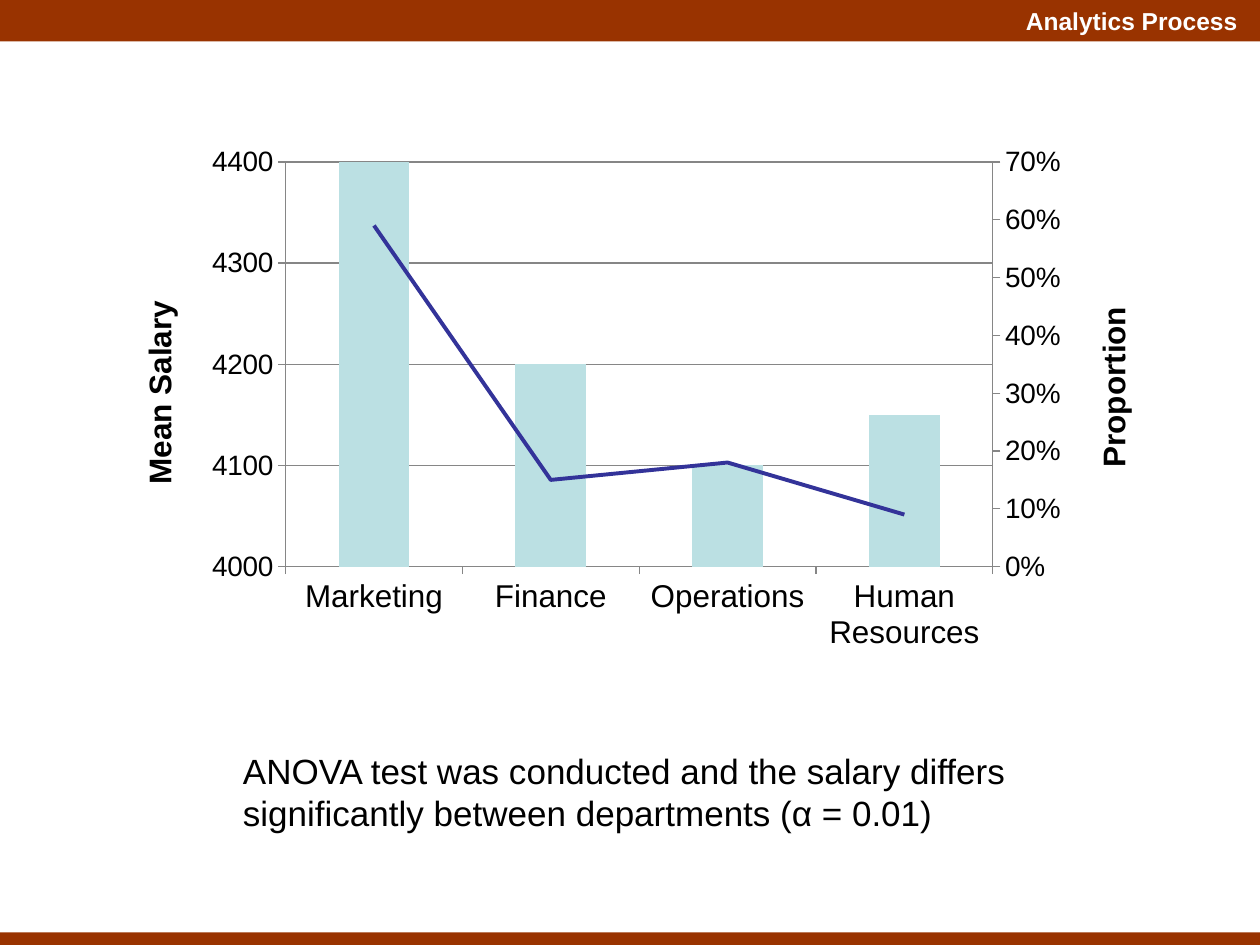
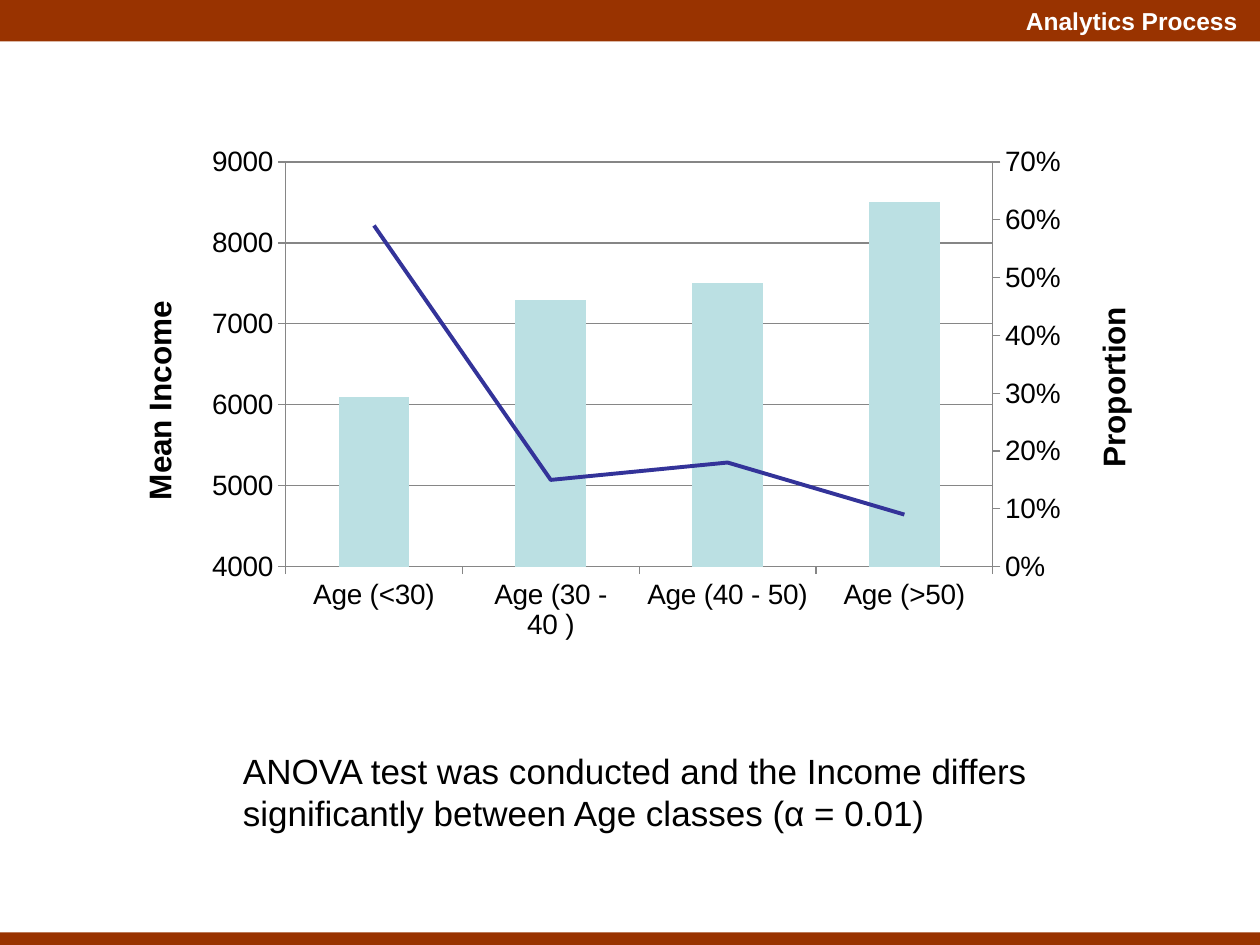
from copy import deepcopy
from dataclasses import dataclass

from pptx import Presentation
from pptx import util as u
from pptx.chart.axis import ValueAxis
from pptx.chart.data import CategoryChartData
from pptx.dml.color import RGBColor
from pptx.enum import chart as ch
from pptx.enum import shapes, text
from pptx.oxml import parse_xml
from pptx.oxml.ns import nsdecls, qn

RUST = RGBColor(0x99, 0x33, 0x00)
WHITE = RGBColor(0xFF, 0xFF, 0xFF)
BLACK = RGBColor(0, 0, 0)
AQUA = RGBColor(0xBB, 0xE0, 0xE3)
NAVY = RGBColor(0x33, 0x33, 0x99)
GRAY = RGBColor(0x86, 0x86, 0x86)
FONT = "Arial"


@dataclass
class Box:
    left: float
    top: float
    width: float
    height: float

    def size(self) -> list:
        return [u.Inches(n) for n in (self.left, self.top, self.width, self.height)]


@dataclass
class Label:
    words: str
    box: Box
    points: int
    color: RGBColor
    bold: bool = False
    align: text.PP_ALIGN = text.PP_ALIGN.LEFT


@dataclass
class Study:
    title: str
    groups: list
    means: list
    top: int
    step: int
    points: int
    result: str


BANDS = [Box(0, 0, 10, 0.33), Box(0, 7.4, 10, 0.1)]
HEADER = Label("Analytics Process", Box(5.74, 0, 4.18, 0.33), 14, WHITE, True,
               text.PP_ALIGN.RIGHT)
CHART = Box(0.81, 1.08, 8.25, 4.67)
NOTE = Box(1.83, 5.9, 6.97, 0.77)
SHARES = [0.59, 0.15, 0.18, 0.09]
BASE = 4000

STUDIES = [
    Study("Mean Salary", ["Marketing", "Finance", "Operations", "Human Resources"],
          [4400, 4200, 4100, 4150], 4400, 100, 18,
          "ANOVA test was conducted and the salary differs significantly "
          "between departments (α = 0.01)"),
    Study("Mean Income", ["Age (<30)", "Age (30 - 40 )", "Age (40 - 50)", "Age (>50)"],
          [6100, 7300, 7500, 8500], 9000, 1000, 16,
          "ANOVA test was conducted and the Income differs significantly "
          "between Age classes (α = 0.01)"),
]


def add_run(para, words: str, points: int, color: RGBColor, bold: bool) -> None:
    run = para.add_run()
    run.text = words
    run.font.name = FONT
    run.font.size = u.Pt(points)
    run.font.bold = bold
    run.font.color.rgb = color


def add_band(slide, box: Box) -> None:
    band = slide.shapes.add_shape(shapes.MSO_SHAPE.RECTANGLE, *box.size())
    band.shadow.inherit = False
    band.fill.solid()
    band.fill.fore_color.rgb = RUST
    band.line.fill.background()


def add_label(slide, label: Label) -> None:
    frame = slide.shapes.add_textbox(*label.box.size()).text_frame
    frame.word_wrap = True
    para = frame.paragraphs[0]
    para.alignment = label.align
    add_run(para, label.words, label.points, label.color, label.bold)


def set_place(owner, index: int, **parts) -> None:
    for old in owner.findall(qn("c:layout")):
        owner.remove(old)
    inner = "".join(f'<c:{key} val="{val}"/>' for key, val in parts.items())
    owner.insert(index, parse_xml(
        f'<c:layout {nsdecls("c")}><c:manualLayout>{inner}</c:manualLayout></c:layout>'))


def set_title(axis, words: str, x: float, y: float) -> None:
    axis.has_title = True
    frame = axis.axis_title.text_frame
    add_run(frame.paragraphs[0], words, 18, BLACK, True)
    title = axis.axis_title._element
    body = title.find(".//" + qn("a:bodyPr"))
    body.set("rot", "-5400000")
    body.set("vert", "horz")
    set_place(title, 1, xMode="edge", yMode="edge", x=x, y=y)


def set_axis(axis, points: int) -> None:
    axis.major_tick_mark = ch.XL_TICK_MARK.OUTSIDE
    axis.minor_tick_mark = ch.XL_TICK_MARK.NONE
    font = axis.tick_labels.font
    font.name = FONT
    font.size = u.Pt(points)
    font.color.rgb = BLACK
    axis.format.line.color.rgb = GRAY
    axis.format.line.width = u.Pt(0.75)


def set_scale(axis, low: float, high: float, step: float, form: str) -> None:
    axis.minimum_scale = low
    axis.maximum_scale = high
    axis.major_unit = step
    axis.tick_labels.number_format = form
    axis.tick_labels.number_format_is_linked = False


def add_second(chart) -> ValueAxis:
    first = chart.value_axis._element
    val = deepcopy(first)
    cat = deepcopy(chart.category_axis._element)
    for axis, own, other in ((val, "9002", "9001"), (cat, "9001", "9002")):
        axis.find(qn("c:axId")).set("val", own)
        axis.find(qn("c:crossAx")).set("val", other)
    val.find(qn("c:axPos")).set("val", "r")
    val.find(qn("c:crosses")).set("val", "max")
    cat.find(qn("c:delete")).set("val", "1")
    first.addnext(val)
    val.addnext(cat)

    bars = chart.plots[0]._element
    line = parse_xml(
        f'<c:lineChart {nsdecls("c")}><c:grouping val="standard"/>'
        '<c:varyColors val="0"/><c:marker val="1"/>'
        '<c:axId val="9001"/><c:axId val="9002"/></c:lineChart>')
    share = bars.findall(qn("c:ser"))[1]
    for flag in share.findall(qn("c:invertIfNegative")):
        share.remove(flag)
    line.insert(2, share)
    bars.addnext(line)
    return ValueAxis(val)


def add_chart(slide, study: Study) -> None:
    data = CategoryChartData()
    data.categories = study.groups
    data.add_series("Series 1", study.means)
    data.add_series("Series 2", SHARES, number_format="0%")
    chart = slide.shapes.add_chart(
        ch.XL_CHART_TYPE.COLUMN_CLUSTERED, *CHART.size(), data).chart
    chart.has_title = False
    chart.has_legend = False
    chart.font.name = FONT
    chart.font.size = u.Pt(18)
    chart.font.color.rgb = BLACK

    left = chart.value_axis
    set_axis(chart.category_axis, study.points)
    set_axis(left, 16)
    left.has_major_gridlines = True
    grid = left.major_gridlines.format.line
    grid.color.rgb = GRAY
    grid.width = u.Pt(0.75)
    right = add_second(chart)
    right.has_major_gridlines = False
    set_scale(left, BASE, study.top, study.step, "General")
    set_scale(right, 0, 0.7, 0.1, "0%")
    set_title(left, study.title, 0.03, 0.27)
    set_title(right, "Proportion", 0.95, 0.28)

    bars, line = chart.plots
    bars.gap_width = 150
    bars.vary_by_categories = False
    fill = bars.series[0].format.fill
    fill.solid()
    fill.fore_color.rgb = AQUA
    share = line.series[0]
    share.smooth = False
    share.marker.style = ch.XL_MARKER_STYLE.NONE
    share.format.line.color.rgb = NAVY
    share.format.line.width = u.Pt(2.25)
    set_place(bars._element.getparent(), 0, layoutTarget="inner", xMode="edge",
              yMode="edge", x=0.177, y=0.044, w=0.682, h=0.688)


def main() -> None:
    deck = Presentation()
    deck.slide_width = u.Inches(10)
    deck.slide_height = u.Inches(7.5)
    for study in STUDIES:
        slide = deck.slides.add_slide(deck.slide_layouts[6])
        for band in BANDS:
            add_band(slide, band)
        add_label(slide, HEADER)
        add_chart(slide, study)
        add_label(slide, Label(study.result, NOTE, 20, BLACK))
    deck.save("out.pptx")


if __name__ == "__main__":
    main()
